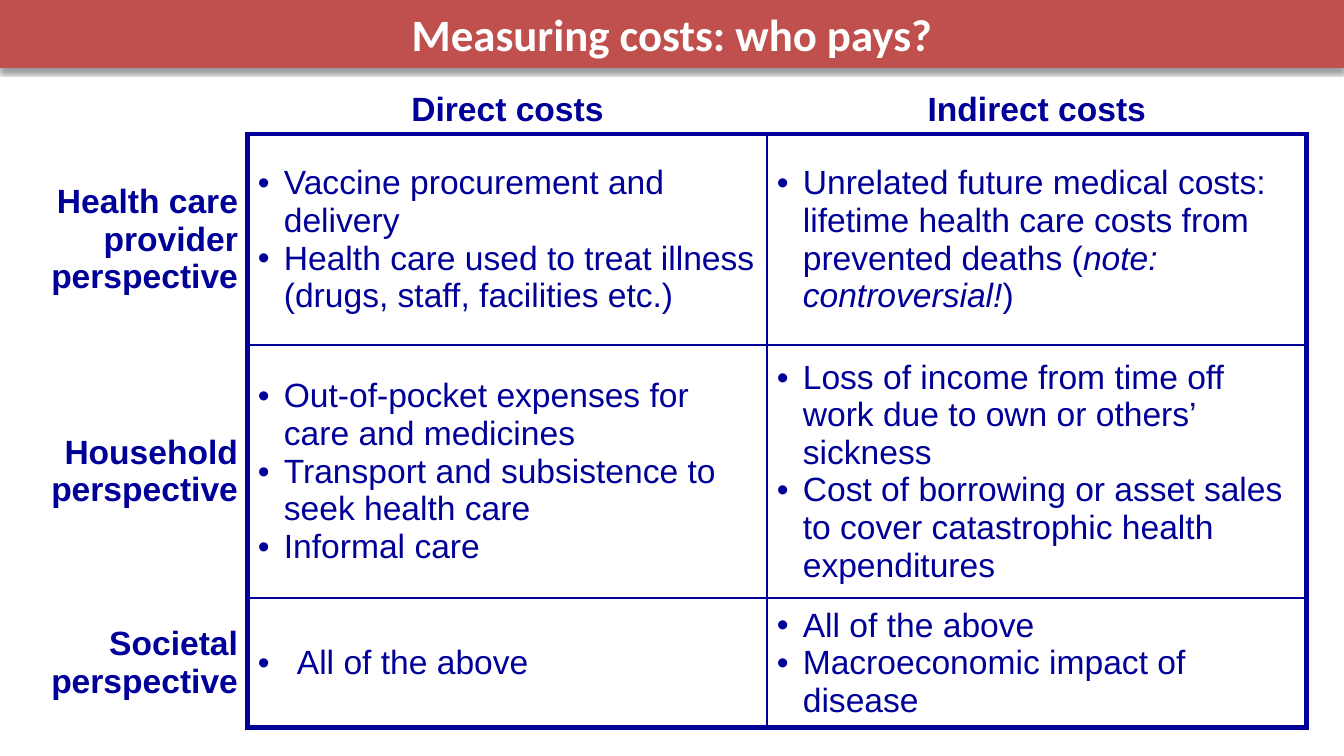
import pptx
import pptx.util
import pptx.dml.color
import pptx.enum.shapes
import pptx.enum.text
from lxml import etree
from pptx.oxml.ns import qn

PX = 914400 / 134.4
COLORS = {"navy": "000099", "red": "C0504D", "white": "FFFFFF", "shadow": "000000"}
ALIGN = pptx.enum.text.PP_ALIGN
ANCHOR = pptx.enum.text.MSO_ANCHOR

TITLE = "Measuring costs: who pays?"
HEADERS = ["Direct costs", "Indirect costs"]
# Each bullet is a string, or a list of (text, italic) runs.
PERSPECTIVES = [
    ("Health care provider perspective",
     ["Vaccine procurement and delivery",
      "Health care used to treat illness (drugs, staff, facilities etc.)"],
     [[("Unrelated future medical costs: lifetime health care costs from prevented deaths (", False),
       ("note: controversial!", True), (")", False)]]),
    ("Household perspective",
     ["Out-of-pocket expenses for care and medicines",
      "Transport and subsistence to seek health care",
      "Informal care"],
     ["Loss of income from time off work due to own or others’ sickness",
      "Cost of borrowing or asset sales to cover catastrophic health expenditures"]),
    ("Societal perspective",
     ["All of the above"],
     ["All of the above", "Macroeconomic impact of disease"]),
]
TABLE_LEFT, TABLE_TOP = 37, 83
COLUMN_WIDTHS = [211, 519, 540]
ROW_HEIGHTS = [51, 211, 253, 130]
# Line widths in points at each edge of the grid; 0 means no line.
VERTICAL_EDGES = [0, 3, 1, 3]
HORIZONTAL_EDGES = [0, 3, 1, 1, 3]
BULLET_INDENT, WIDE_INDENT = 26, 39


def px(value):
    return pptx.util.Emu(round(value * PX))


def color(name):
    return pptx.dml.color.RGBColor.from_string(COLORS[name])


def write(frame, paragraphs, size=18, font="Arial", ink="navy", bold=False,
          align=ALIGN.LEFT, indent=0):
    """Fill a text frame; an indent makes every paragraph a bullet."""
    for index, runs in enumerate(paragraphs):
        paragraph = frame.add_paragraph() if index else frame.paragraphs[0]
        paragraph.alignment = align
        if indent:
            properties = paragraph._p.get_or_add_pPr()
            properties.set("marL", str(px(indent)))
            properties.set("indent", str(-px(indent)))
            etree.SubElement(properties, qn("a:buFont"), typeface="Arial")
            etree.SubElement(properties, qn("a:buChar"), char="•")
        for text, italic in [(runs, False)] if isinstance(runs, str) else runs:
            run = paragraph.add_run()
            run.text = text
            run.font.size = pptx.util.Pt(size)
            run.font.name = font
            run.font.bold = bold
            run.font.italic = italic
            run.font.color.rgb = color(ink)


def add_solid_color(parent, name):
    fill = etree.SubElement(parent, qn("a:solidFill"))
    return etree.SubElement(fill, qn("a:srgbClr"), val=COLORS[name])


def format_cell(cell, row, column):
    """Set borders, then fill, as the schema orders them."""
    properties = cell._tc.get_or_add_tcPr()
    borders = {
        "lnL": VERTICAL_EDGES[column] if row else 0,
        "lnR": VERTICAL_EDGES[column + 1] if row else 0,
        "lnT": HORIZONTAL_EDGES[row] if column else 0,
        "lnB": HORIZONTAL_EDGES[row + 1] if column else 0,
    }
    for side, width in borders.items():
        line = etree.SubElement(properties, qn("a:" + side), w=str(pptx.util.Pt(width)))
        if width:
            add_solid_color(line, "navy")
        else:
            etree.SubElement(line, qn("a:noFill"))
    cell.fill.solid()
    cell.fill.fore_color.rgb = color("white")
    cell.margin_left = cell.margin_right = px(10)
    cell.margin_top = cell.margin_bottom = px(5)
    cell.vertical_anchor = ANCHOR.MIDDLE if row else ANCHOR.BOTTOM


def add_cost_table(slide):
    table = slide.shapes.add_table(
        len(ROW_HEIGHTS), len(COLUMN_WIDTHS), px(TABLE_LEFT), px(TABLE_TOP),
        px(sum(COLUMN_WIDTHS)), px(sum(ROW_HEIGHTS))).table
    table.first_row = table.horz_banding = False
    for column, width in zip(table.columns, COLUMN_WIDTHS):
        column.width = px(width)
    for row, height in zip(table.rows, ROW_HEIGHTS):
        row.height = px(height)
    for row in range(len(ROW_HEIGHTS)):
        for column in range(len(COLUMN_WIDTHS)):
            format_cell(table.cell(row, column), row, column)

    for column, header in enumerate(HEADERS, 1):
        write(table.cell(0, column).text_frame, [header], bold=True, align=ALIGN.CENTER)
    for row, (label, *costs) in enumerate(PERSPECTIVES, 1):
        write(table.cell(row, 0).text_frame, [label], bold=True, align=ALIGN.RIGHT)
        for column, bullets in enumerate(costs, 1):
            indent = WIDE_INDENT if len(bullets) == 1 and column == 1 else BULLET_INDENT
            write(table.cell(row, column).text_frame, bullets, indent=indent)


def add_title_bar(slide):
    bar = slide.shapes.add_shape(
        pptx.enum.shapes.MSO_SHAPE.RECTANGLE, 0, 0, px(1344), px(67))
    bar.fill.solid()
    bar.fill.fore_color.rgb = color("red")
    bar.line.color.rgb = color("red")
    bar.line.width = pptx.util.Pt(0.75)
    bar.shadow.inherit = False
    effects = bar._element.spPr.find(qn("a:effectLst"))
    shadow = etree.SubElement(
        effects, qn("a:outerShdw"), blurRad=str(pptx.util.Pt(3.1)),
        dist=str(pptx.util.Pt(1.6)), dir="5400000", rotWithShape="0")
    tint = etree.SubElement(shadow, qn("a:srgbClr"), val=COLORS["shadow"])
    etree.SubElement(tint, qn("a:alpha"), val="38000")
    bar.text_frame.word_wrap = True
    bar.text_frame.vertical_anchor = ANCHOR.MIDDLE
    write(bar.text_frame, [TITLE], size=24, font="Calibri", ink="white",
          bold=True, align=ALIGN.CENTER)


def main():
    presentation = pptx.Presentation()
    presentation.slide_width, presentation.slide_height = px(1344), px(756)
    slide = presentation.slides.add_slide(presentation.slide_layouts[6])
    add_cost_table(slide)
    add_title_bar(slide)
    presentation.save("out.pptx")


if __name__ == "__main__":
    main()
